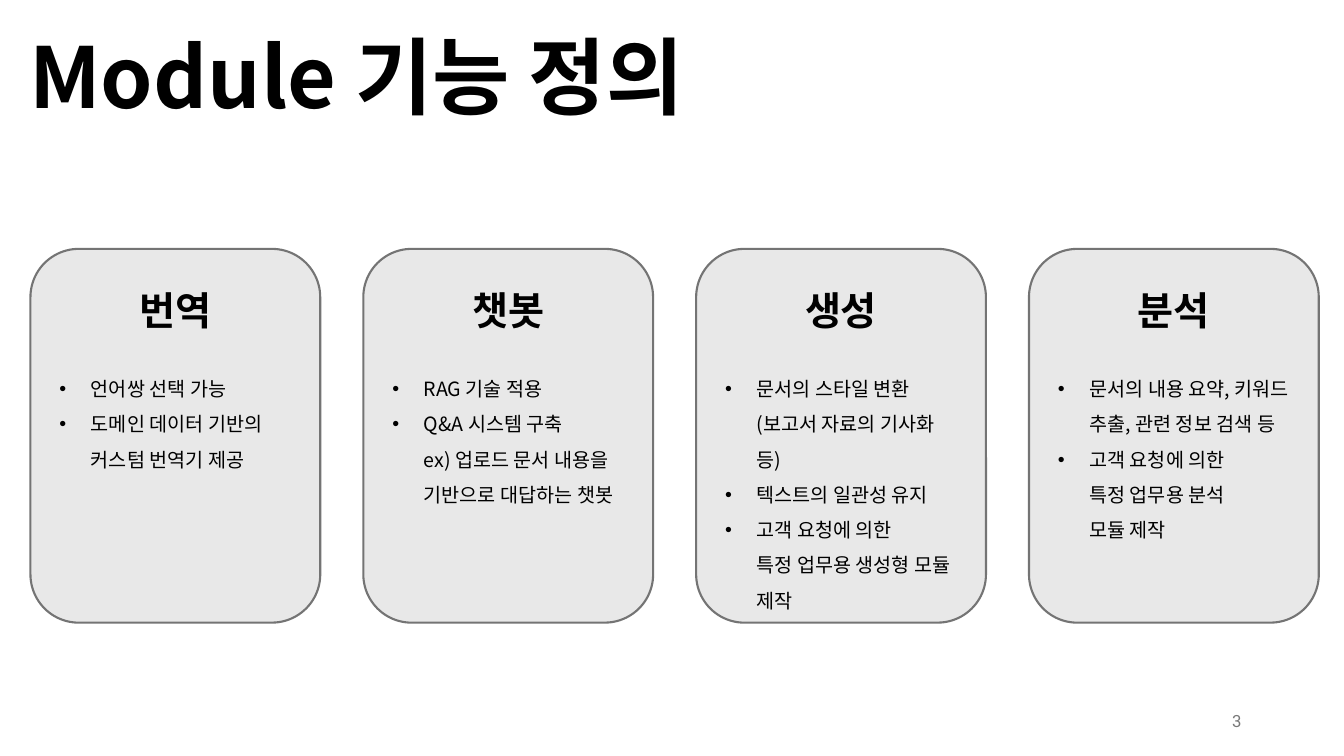
from lxml.etree import SubElement
from pptx import Presentation
from pptx.dml.color import RGBColor
from pptx.enum.shapes import MSO_SHAPE
from pptx.enum.text import MSO_ANCHOR, MSO_AUTO_SIZE, PP_ALIGN
from pptx.oxml.ns import qn
from pptx.util import Pt

PX = 9525
BLACK = RGBColor(0x00, 0x00, 0x00)
PALE = RGBColor(0xE8, 0xE8, 0xE8)
EDGE = RGBColor(0x74, 0x74, 0x74)
GRAY = RGBColor(0x79, 0x79, 0x79)
SANS = "Noto Sans CJK KR"

LEFT, PITCH, WIDTH = 29, 317, 276
CARDS = [
    ("번역", 108, ["언어쌍 선택 가능", "도메인 데이터 기반의 커스텀 번역기 제공"]),
    ("챗봇", 141, ["RAG 기술 적용",
                 "Q&A 시스템 구축\nex) 업로드 문서 내용을 기반으로 대답하는 챗봇"]),
    ("생성", 243, ["문서의 스타일 변환 (보고서 자료의 기사화 등)",
                 "텍스트의 일관성 유지",
                 "고객 요청에 의한 \n특정 업무용 생성형 모듈 제작"]),
    ("분석", 209, ["문서의 내용 요약, 키워드 추출, 관련 정보 검색 등",
                 "고객 요청에 의한 \n특정 업무용 분석\n모듈 제작"]),
]


def scale(*box):
    """Turn px lengths into EMU."""
    return [n * PX for n in box]


def place(shape, *box):
    """Move and size a placeholder in px."""
    shape.left, shape.top, shape.width, shape.height = scale(*box)


def style(para, size, color=BLACK, face=SANS, bold=False, align=PP_ALIGN.LEFT):
    """Set the font and alignment of a paragraph."""
    font = para.font
    font.size, font.bold, font.name = Pt(size), bold, face
    font.color.rgb = color
    para.alignment = align
    props = para._p.pPr.find(qn("a:defRPr"))
    SubElement(props, qn("a:ea")).set("typeface", face)


def bullet(para):
    """Give a paragraph a hanging round bullet."""
    props = para._p.get_or_add_pPr()
    props.set("marL", str(30 * PX))
    props.set("indent", str(-30 * PX))
    SubElement(props, qn("a:buFont")).set("typeface", "Arial")
    SubElement(props, qn("a:buChar")).set("char", "•")


def label(slide, box, text, **look):
    """Add a one-line text box."""
    frame = slide.shapes.add_textbox(*scale(*box)).text_frame
    frame.word_wrap = True
    frame.vertical_anchor = MSO_ANCHOR.MIDDLE
    para = frame.paragraphs[0]
    para.text = text
    style(para, **look)


def panel(slide, left):
    """Add a rounded card."""
    card = slide.shapes.add_shape(
        MSO_SHAPE.ROUNDED_RECTANGLE, *scale(left, 237, WIDTH, 356))
    card.shadow.inherit = False
    card.fill.solid()
    card.fill.fore_color.rgb = PALE
    card.line.color.rgb = EDGE
    card.line.width = Pt(1.5)


def fill_list(body, left, height, items):
    """Fill a body placeholder with bullets and raise it above its card."""
    place(body, left + 18, 343, 240, height)
    body.element.getparent().append(body.element)
    frame = body.text_frame
    frame.auto_size = MSO_AUTO_SIZE.NONE
    frame.vertical_anchor = MSO_ANCHOR.TOP
    frame.text = "\n".join(item.replace("\n", "\v") for item in items)
    for para in frame.paragraphs:
        para.line_spacing = 1.5
        para.space_before = Pt(0)
        bullet(para)
        style(para, 14)


def head(slide):
    """Set the slide title."""
    title = slide.shapes.title
    place(title, 0, 0, 1226, 125)
    frame = title.text_frame
    frame.auto_size = MSO_AUTO_SIZE.NONE
    frame.vertical_anchor = MSO_ANCHOR.BOTTOM
    para = frame.paragraphs[0]
    para.text = " Module 기능 정의"
    para.line_spacing = 0.9
    style(para, 60, bold=True)


def main():
    """Build and save the slide."""
    deck = Presentation()
    deck.slide_width, deck.slide_height = scale(1280, 720)
    slide = deck.slides.add_slide(deck.slide_layouts[4])
    bodies = list(slide.placeholders)[1:]
    head(slide)
    for i, (name, height, items) in enumerate(CARDS):
        left = LEFT + i * PITCH
        panel(slide, left)
        label(slide, (left + 60, 268, 156, 55), name,
              size=28, bold=True, align=PP_ALIGN.CENTER)
        fill_list(bodies[i], left, height, items)
    label(slide, (904, 667, 288, 38), "3",
          size=12, color=GRAY, face="Roboto", align=PP_ALIGN.RIGHT)
    deck.save("out.pptx")


if __name__ == "__main__":
    main()
